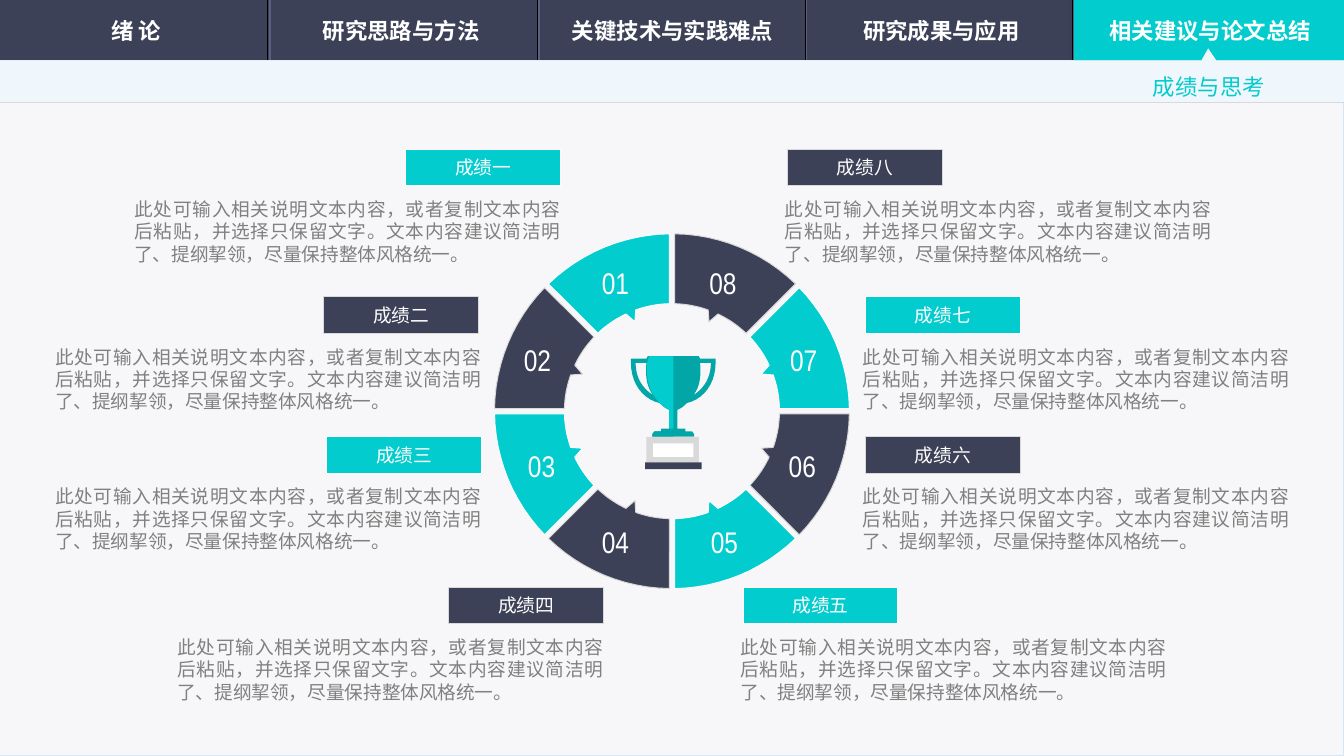
import math
from lxml import etree
from pptx import Presentation
from pptx import util as u
from pptx.dml.color import RGBColor
from pptx.enum import shapes, text
from pptx.oxml.ns import qn

NAVY = RGBColor(0x3C, 0x41, 0x57)
CYAN = RGBColor(0x03, 0xCC, 0xCE)
TEAL = RGBColor(0x02, 0xA6, 0xA6)
SLATE = RGBColor(0x3B, 0x44, 0x5B)
GROOVE = RGBColor(0x59, 0x61, 0x81)
SILVER = RGBColor(0xD9, 0xD9, 0xD9)
GREY = RGBColor(0x80, 0x80, 0x80)
WHITE = RGBColor(0xFF, 0xFF, 0xFF)
BLACK = RGBColor(0, 0, 0)
PAPER = RGBColor(0xF7, 0xF7, 0xF9)
PALE = RGBColor(0xEF, 0xF6, 0xFC)
PALE_EDGE = RGBColor(0xD4, 0xE7, 0xF9)

PAGE_WIDTH = 10
PAGE_HEIGHT = PAGE_WIDTH * 9 / 16
RECT = shapes.MSO_SHAPE.RECTANGLE
ROUNDED = shapes.MSO_SHAPE.ROUNDED_RECTANGLE
CENTER = text.PP_ALIGN.CENTER
CJK = "Noto Sans CJK SC"
DESCRIPTION = ("此处可输入相关说明文本内容，或者复制文本内容后粘贴，并选择只保留文字。"
               "文本内容建议简洁明了、提纲挈领，尽量保持整体风格统一。")


def paint(shape, fill=None, edge=None):
    shape.shadow.inherit = False
    if fill is None:
        shape.fill.background()
    else:
        shape.fill.solid()
        shape.fill.fore_color.rgb = fill
    if edge is None:
        shape.line.fill.background()
    else:
        shape.line.color.rgb = edge
        shape.line.width = u.Pt(0.5)
    return shape


def block(parent, kind, box, fill=None, edge=None):
    shape = parent.add_shape(kind, *map(u.Inches, box))
    if kind == ROUNDED:
        shape.adjustments[0] = 0
    return paint(shape, fill, edge)


def rule(parent, x1, y1, x2, y2, color, width=0.5):
    line = parent.add_connector(shapes.MSO_CONNECTOR.STRAIGHT,
                                *map(u.Inches, (x1, y1, x2, y2)))
    line.line.color.rgb = color
    line.line.width = u.Pt(width)
    etree.SubElement(line._element.spPr, qn("a:effectLst"))


def outline(parent, contours, fill, edge=None):
    builder = None
    for contour in contours:
        points = [(u.Inches(x), u.Inches(y)) for x, y in contour]
        if builder is None:
            builder = parent.build_freeform(*points[0])
        else:
            builder.move_to(*points[0])
        builder.add_line_segments(points[1:], close=True)
    return paint(builder.convert_to_shape(), fill, edge)


def write(shape, words, size, font, color, align=None, bold=False):
    paragraph = shape.text_frame.paragraphs[0]
    paragraph.text = words
    paragraph.alignment = align
    for run in paragraph.runs:
        run.font.size, run.font.name, run.font.bold = u.Pt(size), font, bold
        run.font.color.rgb = color
        east_asian = etree.SubElement(run.font._element, qn("a:ea"))
        east_asian.set("typeface", font)
    return paragraph


def text_box(parent, box, wrap=False):
    frame = parent.add_textbox(*map(u.Inches, box))
    frame.text_frame.word_wrap = wrap
    frame.text_frame.auto_size = text.MSO_AUTO_SIZE.SHAPE_TO_FIT_TEXT
    return frame


def curve(p0, p1, p2, p3, steps=10):
    return [tuple((1 - t) ** 3 * a + 3 * (1 - t) ** 2 * t * b
                  + 3 * (1 - t) * t * t * c + t ** 3 * d
                  for a, b, c, d in zip(p0, p1, p2, p3))
            for t in (i / steps for i in range(steps + 1))]


def mirror(points):
    return [(-x, y) for x, y in reversed(points)]


def navigation(parent, titles, subtitle):
    block(parent, RECT, (0, 0, PAGE_WIDTH, 0.45), NAVY)
    block(parent, RECT, (0, 0.45, PAGE_WIDTH, PAGE_HEIGHT - 0.45), PAPER, PALE_EDGE)
    for dark, light in ((1.99, 2.01), (4, 4.01), (5.99, 6), (7.98, 7.99)):
        rule(parent, dark, 0, dark, 0.45, BLACK)
        rule(parent, light, 0, light, 0.45, GROOVE, 0.75)
    active = block(parent, RECT, (7.99, 0, 2.01, 0.45), CYAN)
    glow = etree.SubElement(active._element.spPr.find(qn("a:effectLst")), qn("a:outerShdw"),
                            blurRad=str(u.Pt(3)), dist="0", dir="16200000", rotWithShape="0")
    tint = etree.SubElement(glow, qn("a:srgbClr"), val="000000")
    etree.SubElement(tint, qn("a:alpha"), val="20000")
    outline(parent, [[(8.99, 0.36), (9.05, 0.45), (10, 0.45), (10, 0.76),
                      (0, 0.76), (0, 0.45), (8.94, 0.45)]], PALE)
    rule(parent, 0, 0.76, PAGE_WIDTH, 0.76, SILVER)
    for left, title in zip((0.02, 1.99, 4.01, 6.01, 8.01), titles):
        tab = block(parent, ROUNDED, (left, 0.07, 1.99, 0.31))
        tab.text_frame.vertical_anchor = text.MSO_ANCHOR.MIDDLE
        write(tab, title, 12, CJK, WHITE, CENTER, True)
    heading = text_box(parent, (8.48, 0.41, 1.04, 0.37))
    heading.text_frame.vertical_anchor = text.MSO_ANCHOR.MIDDLE
    write(heading, subtitle, 12, CJK, CYAN).line_spacing = 1.5


def ring_segment(parent, cx, cy, middle, colors):
    outer, inner, tip, half_gap, turn = 1.32, 0.8, 0.72, 0.02, 22.5

    def polar(radius, degrees):
        angle = math.radians(degrees)
        return cx + radius * math.sin(angle), cy - radius * math.cos(angle)

    def arc(radius, start, end, steps=12):
        return [polar(radius, start + (end - start) * i / steps) for i in range(steps + 1)]

    axis = middle - turn
    wide, narrow = (22.5 - math.degrees(math.asin(half_gap / r)) for r in (outer, inner))
    points = (arc(outer, axis - wide, axis + wide) + arc(inner, axis + narrow, axis + 2.8)
              + [polar(tip, axis)] + arc(inner, axis - 2.8, axis - narrow))
    segment = outline(parent, [points], *colors)
    dx = segment.left + segment.width / 2 - u.Inches(cx)
    dy = segment.top + segment.height / 2 - u.Inches(cy)
    cos, sin = math.cos(math.radians(turn)), math.sin(math.radians(turn))
    segment.left = round(u.Inches(cx) + dx * cos - dy * sin - segment.width / 2)
    segment.top = round(u.Inches(cy) + dx * sin + dy * cos - segment.height / 2)
    segment.rotation = turn


def trophy(parent, cx, top):
    group = parent.add_group_shape().shapes

    def place(points):
        return [(cx + x, top + y) for x, y in points]

    bowl = curve((0.1, 0.35), (0.23, 0.32), (0.315, 0.2), (0.315, 0.05))
    right = ([(0.19, 0), (0.2, 0.02), (0.315, 0.02)] + bowl[::-1]
             + curve((0.1, 0.35), (0.08, 0.37), (0.06, 0.39), (0.03, 0.4))
             + [(0.03, 0.54), (0.09, 0.54), (0.09, 0.56), (0.14, 0.56),
                (0.155, 0.58), (0.155, 0.6)])
    handle = (curve((0.28, 0.05), (0.28, 0.16), (0.23, 0.24), (0.15, 0.29))
              + curve((0.15, 0.29), (0.19, 0.24), (0.21, 0.17), (0.2, 0.05)))
    outline(group, [place(right + mirror(right)), place(handle), place(mirror(handle))], TEAL)
    shine = (curve((-0.18, 0), (-0.2, 0.06), (-0.2, 0.1), (-0.195, 0.1))
             + curve((-0.195, 0.1), (-0.2, 0.23), (-0.14, 0.34), (-0.03, 0.4))
             + [(-0.03, 0.54), (0, 0.54), (0, 0)])
    outline(group, [place(shine)], CYAN)
    foot = [(0, 0.56), (-0.14, 0.56), (-0.155, 0.58), (-0.155, 0.6), (0, 0.6)]
    outline(group, [place(foot)], TEAL)
    for x, y, width, height, fill in ((-0.2, 0.6, 0.39, 0.19, SILVER),
                                      (-0.15, 0.65, 0.3, 0.1, WHITE),
                                      (-0.21, 0.79, 0.42, 0.05, NAVY)):
        block(group, RECT, (cx + x, top + y, width, height), fill)


def achievement(parent, left, top, title, bar_offset, colors):
    detail = text_box(parent, (left, top + 0.36, 3.17, 0.5), True)
    frame = detail.text_frame
    frame.margin_left = frame.margin_right = frame.margin_top = frame.margin_bottom = 0
    write(detail, DESCRIPTION, 10, "Arial", GREY, text.PP_ALIGN.JUSTIFY)
    bar = block(parent, ROUNDED, (left + bar_offset, top, 1.15, 0.27), *colors)
    bar.text_frame.vertical_anchor = text.MSO_ANCHOR.MIDDLE
    write(bar, title, 10, "Arial Narrow", WHITE, CENTER)


deck = Presentation()
deck.slide_width, deck.slide_height = u.Inches(PAGE_WIDTH), u.Inches(PAGE_HEIGHT)
slide = deck.slides.add_slide(deck.slide_layouts[6])
backdrop = slide.background.fill
backdrop.gradient()
backdrop.gradient_angle = 315
for stop, shade in zip(backdrop.gradient_stops, (CYAN, SLATE)):
    stop.color.rgb = shade
canvas = slide.shapes

navigation(canvas, ["绪 论", "研究思路与方法", "关键技术与实践难点",
                    "研究成果与应用", "相关建议与论文总结"], "成绩与思考")

ACHIEVEMENTS = [
    ("一", 1, 1.11, 2.02, 4.58, 2.1), ("二", 0.41, 2.21, 2, 4, 2.67),
    ("三", 0.41, 3.25, 2.02, 4.03, 3.46), ("四", 1.32, 4.37, 2.02, 4.58, 4.03),
    ("五", 5.51, 4.37, 0.02, 5.39, 4.03), ("六", 6.42, 3.25, 0.02, 5.97, 3.46),
    ("七", 6.42, 2.21, 0.02, 5.98, 2.67), ("八", 5.84, 1.11, 0.02, 5.38, 2.1)]
SCHEMES = [(CYAN, WHITE), (NAVY, SILVER)]

for index in range(8):
    ring_segment(canvas, 5, 3.06, -22.5 - 45 * index, SCHEMES[index % 2])
trophy(canvas, 5.01, 2.65)
for index, (numeral, left, top, offset, x, y) in enumerate(ACHIEVEMENTS):
    number = text_box(canvas, (x - 0.22, y - 0.18, 0.44, 0.37))
    write(number, f"{index + 1:02d}", 16, "Arial Narrow", WHITE, CENTER)
    achievement(canvas, left, top, "成绩" + numeral, offset, SCHEMES[index % 2])

deck.save("out.pptx")
